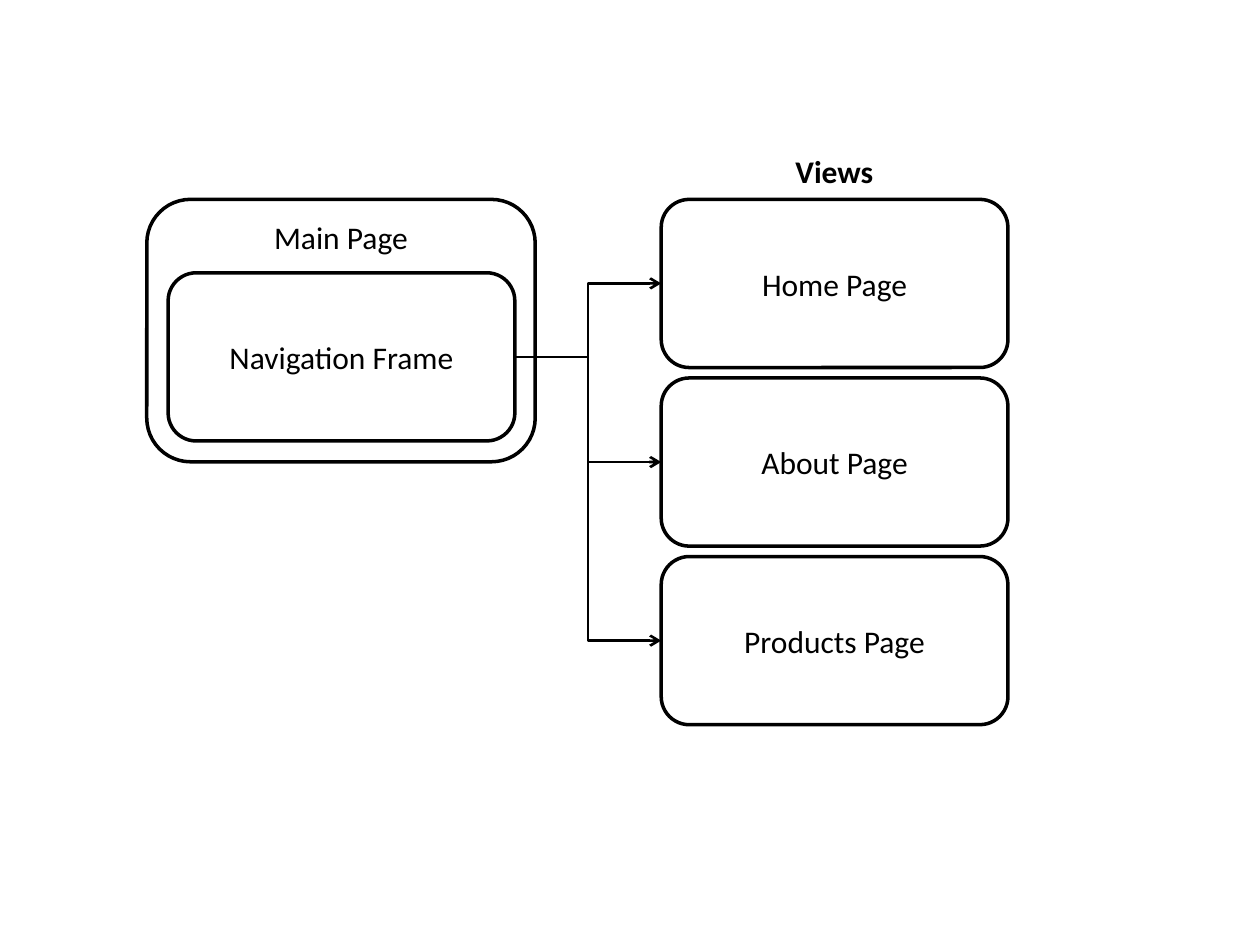
from lxml.etree import SubElement
from pptx import Presentation
from pptx.dml.color import RGBColor
from pptx.enum.shapes import MSO_CONNECTOR, MSO_SHAPE
from pptx.enum.text import MSO_ANCHOR, MSO_AUTO_SIZE, PP_ALIGN
from pptx.oxml.ns import qn
from pptx.util import Cm, Pt

BLACK, WHITE = "000000", "FFFFFF"
FRAME_W, FRAME_H = 6.99, 3.39
VIEWS_LEFT, VIEWS_TOP, VIEWS_PITCH = 13.33, 4.02, 3.6
VIEWS = ["Home Page", "About Page", "Products Page"]
LEFT_SITE, RIGHT_SITE = 1, 3


def rgb(value):
    """Turn a hex string into a colour."""
    return RGBColor.from_string(value)


def write(tf, text, bold=False):
    """Put one centred line of text in a text frame."""
    p = tf.paragraphs[0]
    p.text = text
    p.alignment = PP_ALIGN.CENTER
    p.font.name = "Calibri"
    p.font.size = Pt(18)
    p.font.bold = bold
    p.font.color.rgb = rgb(BLACK)


def add_frame(slide, text, left, top, width=FRAME_W, height=FRAME_H,
              anchor=MSO_ANCHOR.MIDDLE):
    """Add an outlined rounded box with a label."""
    sp = slide.shapes.add_shape(MSO_SHAPE.ROUNDED_RECTANGLE,
                                Cm(left), Cm(top), Cm(width), Cm(height))
    sp.shadow.inherit = False
    sp.fill.solid()
    sp.fill.fore_color.rgb = rgb(WHITE)
    sp.line.color.rgb = rgb(BLACK)
    sp.line.width = Pt(2)
    sp.text_frame.vertical_anchor = anchor
    write(sp.text_frame, text)
    return sp


def add_arrow(slide, source, target):
    """Join the right side of source to the left side of target."""
    cxn = slide.shapes.add_connector(MSO_CONNECTOR.ELBOW, 0, 0, 0, 0)
    cxn.begin_connect(source, RIGHT_SITE)
    cxn.end_connect(target, LEFT_SITE)
    cxn.line.color.rgb = rgb(BLACK)
    cxn.line.width = Pt(1.5)
    SubElement(cxn.line._get_or_add_ln(), qn("a:tailEnd"), type="arrow")
    SubElement(cxn._element.spPr, qn("a:effectLst"))


def add_heading(slide, text, left, top, width, height):
    """Add a bold heading that does not wrap."""
    tb = slide.shapes.add_textbox(Cm(left), Cm(top), Cm(width), Cm(height))
    tf = tb.text_frame
    tf.word_wrap = False
    tf.auto_size = MSO_AUTO_SIZE.SHAPE_TO_FIT_TEXT
    write(tf, text, bold=True)


def main():
    """Build the page navigation diagram."""
    prs = Presentation()
    prs.slide_width, prs.slide_height = Cm(25.4), Cm(19.05)
    slide = prs.slides.add_slide(prs.slide_layouts[6])

    add_frame(slide, "Main Page", 2.96, VIEWS_TOP, 7.83, 5.29, MSO_ANCHOR.TOP)
    navigation = add_frame(slide, "Navigation Frame", 3.39, 5.5)
    views = [add_frame(slide, name, VIEWS_LEFT, VIEWS_TOP + i * VIEWS_PITCH)
             for i, name in enumerate(VIEWS)]
    for view in views:
        add_arrow(slide, navigation, view)
    add_heading(slide, "Views", 15.78, 2.95, 2.08, 1.02)

    prs.save("out.pptx")


main()
